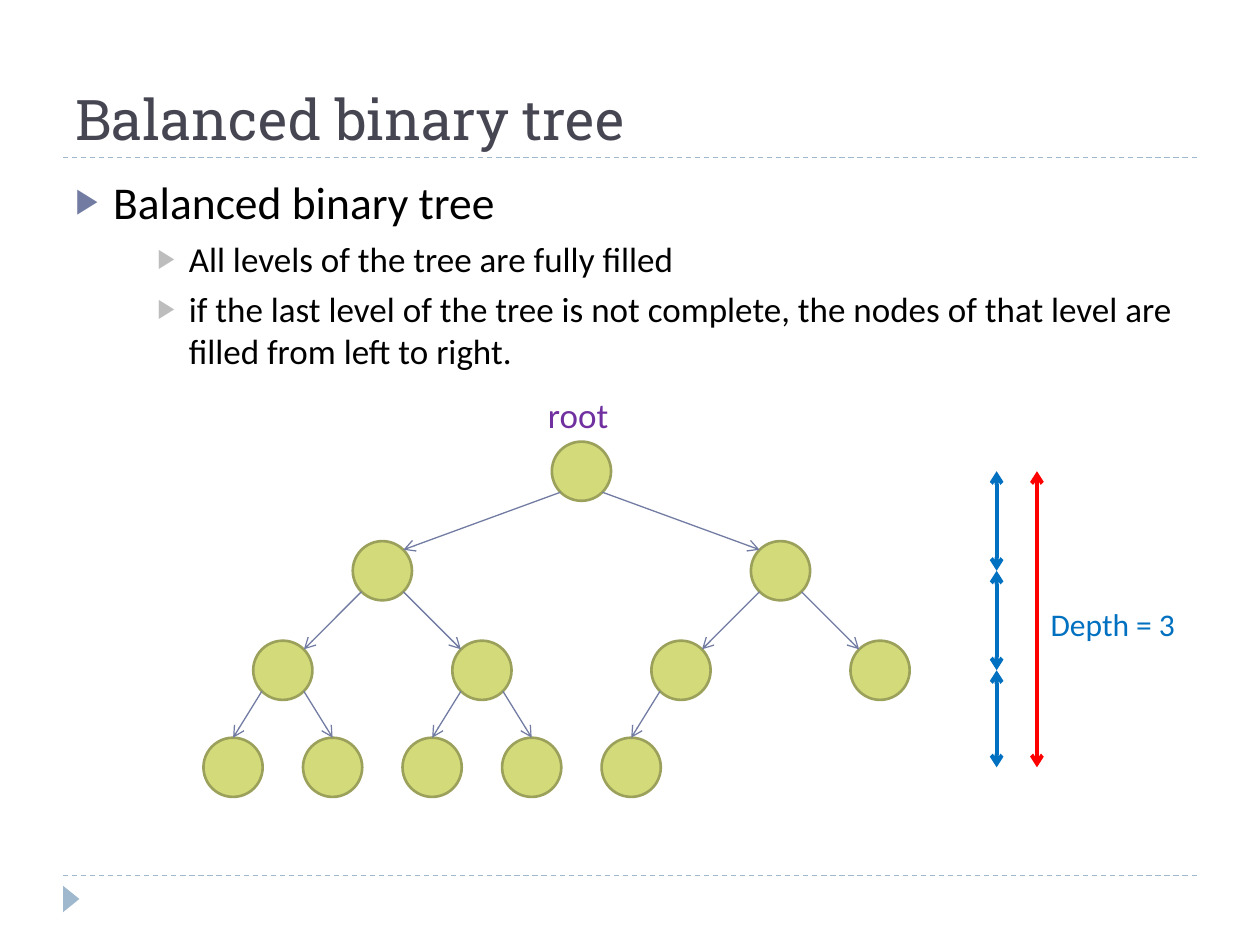
from lxml import etree
from pptx import Presentation
from pptx.dml.color import RGBColor
from pptx.enum.dml import MSO_LINE
from pptx.enum.shapes import MSO_CONNECTOR, MSO_SHAPE
from pptx.enum.text import MSO_ANCHOR
from pptx.oxml.ns import qn
from pptx.util import Inches, Pt

STRAIGHT = MSO_CONNECTOR.STRAIGHT
DASH = MSO_LINE.DASH
OVAL = MSO_SHAPE.OVAL
TRIANGLE = MSO_SHAPE.ISOSCELES_TRIANGLE
TOP, BOTTOM = MSO_ANCHOR.TOP, MSO_ANCHOR.BOTTOM

COLORS = {
    "rule": "9FB8CD", "title": "464653", "text": "000000",
    "bullet": "727CA3", "sub_bullet": "BDBDBD",
    "node": "D2DA7A", "node_edge": "9BA15A", "branch": "727CA3",
    "root": "7030A0", "level": "0070C0", "depth": "FF0000",
}

prs = Presentation()
prs.slide_width, prs.slide_height = Inches(10), Inches(7.5)
slide = prs.slides.add_slide(prs.slide_layouts[6])
shapes = slide.shapes


def add_line(start, end, color, width, ends=()):
    line = shapes.add_connector(STRAIGHT, *[Inches(v) for v in (*start, *end)])
    line.line.color.rgb = RGBColor.from_string(COLORS[color])
    line.line.width = Pt(width)
    outline = line.line._get_or_add_ln()
    for end_tag in ends:
        etree.SubElement(outline, qn(end_tag), type="arrow")
    etree.SubElement(line._element.spPr, qn("a:effectLst"))
    return line


def add_text(box, paragraphs, font, color, wrap=True, anchor=TOP):
    frame = shapes.add_textbox(*[Inches(v) for v in box]).text_frame
    frame.word_wrap = wrap
    frame.vertical_anchor = anchor
    for index, (text, size, bullet) in enumerate(paragraphs):
        paragraph = frame.add_paragraph() if index else frame.paragraphs[0]
        if index:
            paragraph.space_before = Pt(5)
        if bullet:
            level, indent, hanging, bullet_color = bullet
            paragraph.level = level
            props = paragraph._p.get_or_add_pPr()
            props.set("marL", str(Inches(indent)))
            props.set("indent", str(-Inches(hanging)))
            tint = etree.SubElement(props, qn("a:buClr"))
            etree.SubElement(tint, qn("a:srgbClr"), val=COLORS[bullet_color])
            etree.SubElement(props, qn("a:buSzPct"), val="76000")
            etree.SubElement(props, qn("a:buFont"), typeface="Calibri")
            etree.SubElement(props, qn("a:buChar"), char="▶")
        run = paragraph.add_run()
        run.text = text
        run.font.name, run.font.size = font, Pt(size)
        run.font.color.rgb = RGBColor.from_string(COLORS[color])


margin = 0.5
content_width = 10 - 2 * margin
for rule_y in (6.95, 1.25):
    rule = add_line((margin, rule_y), (10 - margin, rule_y), "rule", 0.75)
    rule.line.dash_style = DASH

marker = shapes.add_shape(TRIANGLE, Inches(0.46), Inches(7.07), Inches(0.21), Inches(0.13))
marker.rotation = 90
marker.shadow.inherit = False
marker.fill.solid()
marker.fill.fore_color.rgb = RGBColor.from_string(COLORS["rule"])
marker.line.fill.background()

add_text((margin, 0.17, content_width, 1.08),
         [("Balanced binary tree", 32, None)], "Roboto Slab", "title", anchor=BOTTOM)

main_bullet = (0, 0.3, 0.3, "bullet")
sub_bullet = (2, 0.9, 0.25, "sub_bullet")
add_text((margin, 1.33, content_width, 5.4), [
    ("Balanced binary tree", 26, main_bullet),
    ("All levels of the tree are fully filled", 20, sub_bullet),
    ("if the last level of the tree is not complete, the nodes of that level "
     "are filled from left to right.", 20, sub_bullet),
], "Calibri", "text")

diameter = 0.47
radius = diameter / 2
corner = radius * 0.71
first_leaf_x, leaf_gap = 1.85, 0.79
level_y = [3.74, 4.53, 5.32, 6.09]
nodes_per_level = [1, 2, 4, 5]
last_level = len(level_y) - 1

centers = {}
for level, count in enumerate(nodes_per_level):
    leaves_below = 2 ** (last_level - level)
    for index in range(count):
        column = leaves_below * (index + 0.5) - 0.5
        centers[level, index] = (first_leaf_x + leaf_gap * column, level_y[level])

for x, y in centers.values():
    node = shapes.add_shape(OVAL, Inches(x - radius), Inches(y - radius),
                            Inches(diameter), Inches(diameter))
    node.shadow.inherit = False
    node.fill.solid()
    node.fill.fore_color.rgb = RGBColor.from_string(COLORS["node"])
    node.line.color.rgb = RGBColor.from_string(COLORS["node_edge"])
    node.line.width = Pt(1.5)

for (level, index), (x, y) in centers.items():
    if level == 0:
        continue
    parent_x, parent_y = centers[level - 1, index // 2]
    side = 1 if index % 2 else -1
    start = (parent_x + side * corner, parent_y + corner)
    end = (x, y - radius) if level == last_level else (x - side * corner, y - corner)
    add_line(start, end, "branch", 0.75, ["a:tailEnd"])

add_text((4.25, 3.07, 0.71, 0.44), [("root", 20, None)], "Calibri", "root", wrap=False)
add_text((8.24, 4.75, 1.26, 0.4), [("Depth = 3", 18, None)], "Calibri", "level", wrap=False)

both_ends = ["a:headEnd", "a:tailEnd"]
for upper, lower in zip(level_y, level_y[1:]):
    add_line((7.91, upper), (7.91, lower), "level", 2.25, both_ends)
add_line((8.23, level_y[0]), (8.23, level_y[-1]), "depth", 2.25, both_ends)

prs.save("out.pptx")
